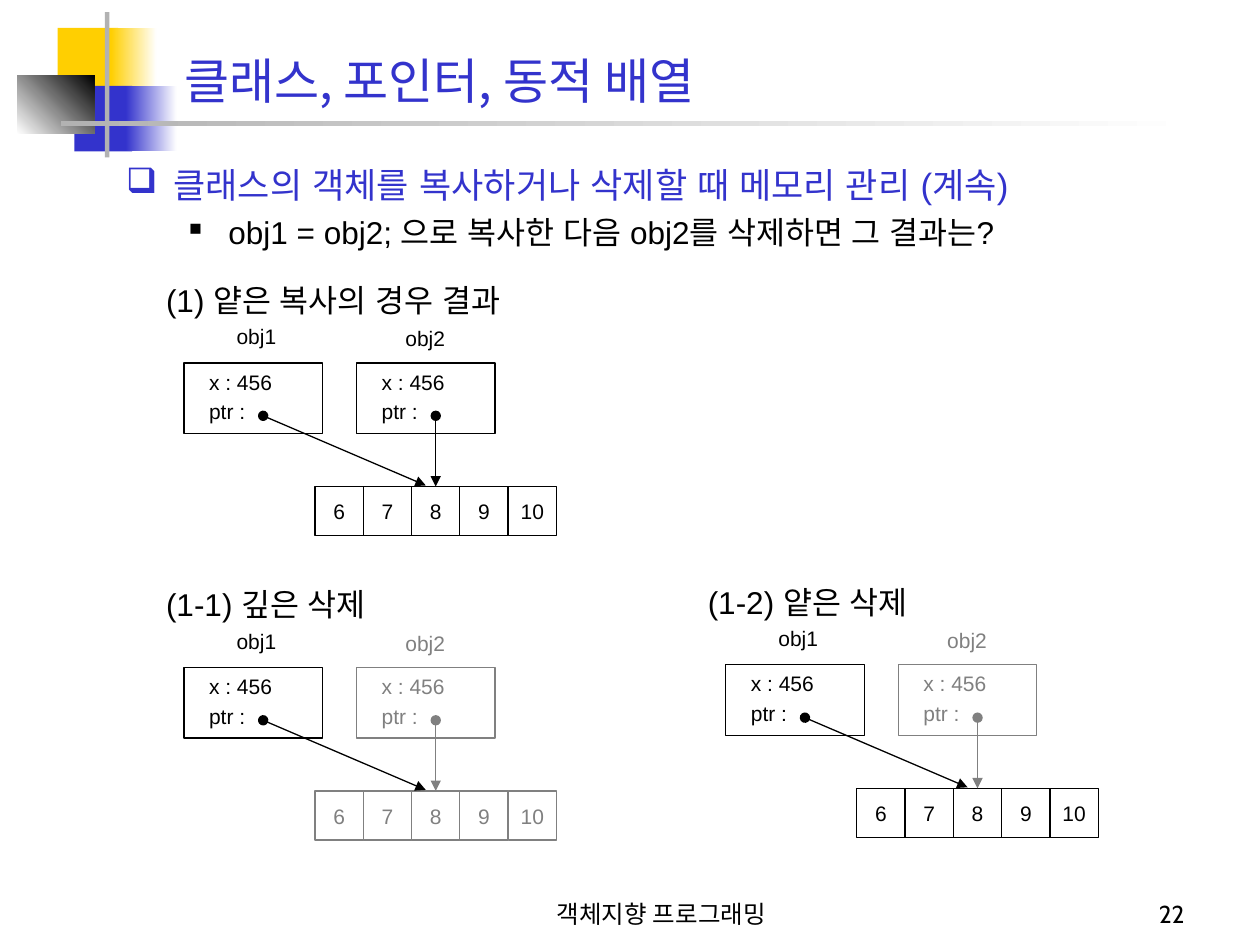
"""Build the slide on shallow copying of objects that point to a dynamic array."""
from lxml.etree import SubElement
from pptx import Presentation
from pptx.dml.color import RGBColor
from pptx.enum.shapes import MSO_CONNECTOR, MSO_SHAPE
from pptx.enum.text import MSO_ANCHOR, MSO_AUTO_SIZE, PP_ALIGN
from pptx.oxml.ns import qn
from pptx.util import Pt

COLORS = {"blue": "3333CC", "yellow": "FFCF01", "silver": "B2B2B2",
          "gray": "808080", "black": "000000", "white": "FFFFFF"}
TITLE = "클래스, 포인터, 동적 배열"
BULLETS = [
    {"text": "클래스의 객체를 복사하거나 삭제할 때 메모리 관리 (계속)", "mark": "❑",
     "size": 20, "color": "blue", "margin": 27, "hang": 27, "scale": 100, "before": 0},
    {"text": "obj1 = obj2; 으로 복사한 다음 obj2를 삭제하면 그 결과는?", "mark": "■",
     "size": 18, "color": "black", "margin": 58.5, "hang": 22.5, "scale": 55, "before": 4},
]
FOOTERS = [("객체지향 프로그래밍", 264, 228, PP_ALIGN.CENTER),
           ("22", 534, 150, PP_ALIGN.RIGHT)]
DECORATION = [
    ((33, 16, 34.5, 37.5), ("yellow",), 0),
    ((63.5, 16, 26, 37.5), ("yellow", "white"), 0),
    ((42.5, 49, 33, 37.5), ("blue",), 0),
    ((72, 49, 29, 37.5), ("blue", "white"), 0),
    ((10, 43, 44, 33.5), ("white", "black"), 45),
    ((60, 7, 2.5, 83), ("silver",), 0),
    ((35, 69.4, 648, 2.4), ("silver", "white"), 0),
]
DIAGRAMS = [
    {"heading": "(1) 얕은 복사의 경우 결과", "left": 87.8, "top": 157, "width": 220,
     "second": "black", "array": "black"},
    {"heading": "(1-1) 깊은 삭제", "left": 87.8, "top": 331, "width": 140,
     "second": "gray", "array": "gray"},
    {"heading": "(1-2) 얕은 삭제", "left": 397.4, "top": 329.5, "width": 136,
     "second": "gray", "array": "black"},
]
FIELDS = ["x : 456", "ptr :"]
VALUES = [6, 7, 8, 9, 10]
OBJECT_STEP, CELL_WIDTH = 98.6, 27.6


def rgb(name):
    return RGBColor.from_string(COLORS[name])


def style(paragraph, size, color, font="Arial", align=None):
    paragraph.alignment = align
    for span in paragraph.runs:
        span.font.size = Pt(size)
        span.font.name = font
        span.font.color.rgb = rgb(color)
        SubElement(span.font._element, qn("a:ea"), typeface=font)


def place(shape, *bounds):
    shape.left, shape.top, shape.width, shape.height = map(Pt, bounds)


def add_label(page, bounds, text, size, color):
    box = page.shapes.add_textbox(*map(Pt, bounds))
    frame = box.text_frame
    frame.text = text
    frame.word_wrap = False
    frame.auto_size = MSO_AUTO_SIZE.SHAPE_TO_FIT_TEXT
    style(frame.paragraphs[0], size, color)


def add_rectangle(page, bounds, fills=(), angle=0, outline=None):
    shape = page.shapes.add_shape(MSO_SHAPE.RECTANGLE, *map(Pt, bounds))
    shape.shadow.inherit = False
    if len(fills) == 2:
        shape.fill.gradient()
        shape.fill.gradient_angle = angle
        for stop, name in zip(shape.fill.gradient_stops, fills):
            stop.color.rgb = rgb(name)
    elif fills:
        shape.fill.solid()
        shape.fill.fore_color.rgb = rgb(fills[0])
    else:
        shape.fill.background()
    if outline:
        shape.line.color.rgb = rgb(outline)
        shape.line.width = Pt(0.75)
    else:
        shape.line.fill.background()
    return shape


def add_object(page, left, top, color):
    frame = add_rectangle(page, (left, top, 79.2, 40.3), outline=color).text_frame
    frame.text = "\n".join(FIELDS)
    frame.word_wrap = False
    frame.vertical_anchor = MSO_ANCHOR.TOP
    frame.margin_left = 0
    for index, paragraph in enumerate(frame.paragraphs):
        paragraph._p.get_or_add_pPr().set("marL", str(Pt(14.4)))
        paragraph.space_before = Pt(2.5 * index)
        style(paragraph, 12, color, align=PP_ALIGN.LEFT)


def add_cell(page, left, top, value, color):
    cell = add_rectangle(page, (left, top, CELL_WIDTH, 28.1), outline=color)
    frame = cell.text_frame
    frame.text = str(value)
    frame.word_wrap = False
    frame.vertical_anchor = MSO_ANCHOR.MIDDLE
    style(frame.paragraphs[0], 12, color, align=PP_ALIGN.CENTER)
    return cell


def add_pointer(page, start, end, color):
    pointer = page.shapes.add_connector(MSO_CONNECTOR.STRAIGHT, *map(Pt, start + end))
    pointer.line.color.rgb = rgb(color)
    pointer.line.width = Pt(0.75)
    line = pointer.line._get_or_add_ln()
    SubElement(line, qn("a:headEnd"), type="oval")
    SubElement(line, qn("a:tailEnd"), type="triangle")
    SubElement(pointer._element.spPr, qn("a:effectLst"))
    return pointer


def add_diagram(page, diagram):
    left, top = diagram["left"], diagram["top"]
    add_label(page, (left, top, diagram["width"], 28.8), diagram["heading"], 18, "black")
    cells = [add_cell(page, left + 92.2 + index * CELL_WIDTH, top + 121, value, diagram["array"])
             for index, value in enumerate(VALUES)]
    object_colors = ["black", diagram["second"]]
    for index, color in enumerate(object_colors):
        add_object(page, left + 17.3 + index * OBJECT_STEP, top + 50.4, color)
        add_label(page, (left + 40.3 + index * 96.5, top + 24.5 + index, 37.4, 21.6),
                  f"obj{index + 1}", 12, color)
        start = (left + 62.6 + index * OBJECT_STEP, top + 80.6)
        pointer = add_pointer(page, start, (left + 155.5 + index * 5.7, top + 120.4), color)
    pointer.end_connect(cells[len(cells) // 2], 0)


def add_bullets(page):
    frame = page.shapes.add_textbox(Pt(72), Pt(90), Pt(633), Pt(393)).text_frame
    frame.word_wrap = True
    frame.margin_left = 0
    frame.text = "\n".join(bullet["text"] for bullet in BULLETS)
    for paragraph, bullet in zip(frame.paragraphs, BULLETS):
        properties = paragraph._p.get_or_add_pPr()
        properties.set("marL", str(Pt(bullet["margin"])))
        properties.set("indent", str(-Pt(bullet["hang"])))
        tint = SubElement(properties, qn("a:buClr"))
        SubElement(tint, qn("a:srgbClr"), val=COLORS[bullet["color"]])
        SubElement(properties, qn("a:buSzPct"), val=str(bullet["scale"] * 1000))
        SubElement(properties, qn("a:buChar"), char=bullet["mark"])
        paragraph.space_before = Pt(bullet["before"])
        style(paragraph, bullet["size"], bullet["color"])


def main():
    deck = Presentation()
    deck.slide_width, deck.slide_height = Pt(720), Pt(540)
    page = deck.slides.add_slide(deck.slide_layouts[5])
    for bounds, fills, angle in DECORATION:
        add_rectangle(page, bounds, fills, angle)

    title = page.shapes.title
    place(title, 98, 13, 613.5, 53.3)
    title.text_frame.text = TITLE
    title.text_frame.vertical_anchor = MSO_ANCHOR.BOTTOM
    style(title.text_frame.paragraphs[0], 28, "blue", "Noto Sans CJK KR", PP_ALIGN.LEFT)

    add_bullets(page)
    for diagram in DIAGRAMS:
        add_diagram(page, diagram)
    for text, left, width, align in FOOTERS:
        frame = page.shapes.add_textbox(Pt(left), Pt(498), Pt(width), Pt(36)).text_frame
        frame.text = text
        frame.word_wrap = True
        frame.vertical_anchor = MSO_ANCHOR.BOTTOM
        style(frame.paragraphs[0], 14, "black", "Cabin", align)
    deck.save("out.pptx")


if __name__ == "__main__":
    main()
